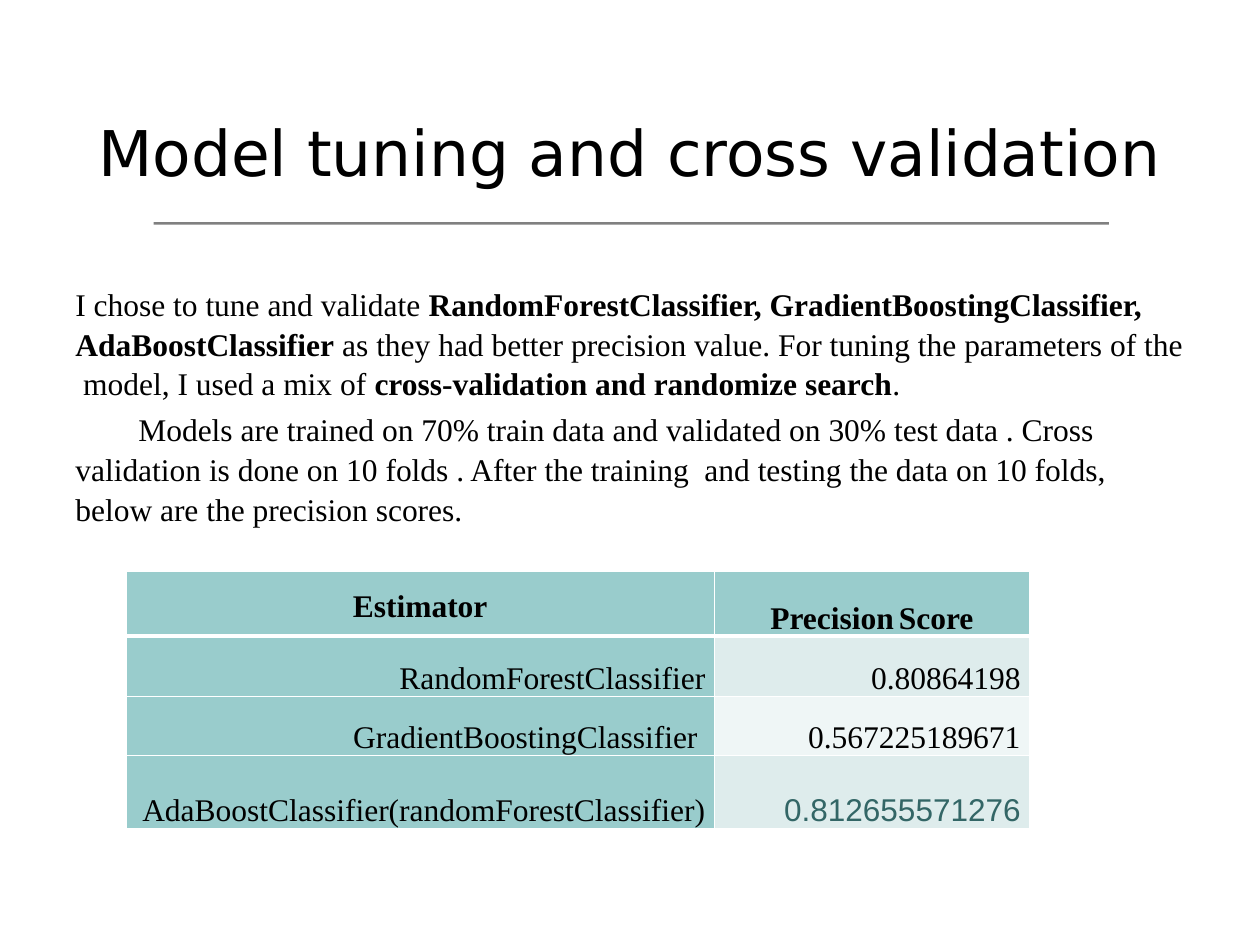
from dataclasses import dataclass

from lxml import etree
from pptx import Presentation
from pptx import util as u
from pptx.dml.color import RGBColor
from pptx.enum import shapes, text
from pptx.oxml.ns import qn

WIDTH, HEIGHT = u.Inches(10), u.Inches(7.5)
SERIF = "Times New Roman"
BLACK, WHITE, TEAL, PALE, FAINT = "000000", "FFFFFF", "99CCCC", "DEECEC", "EFF6F6"
MIDDLE, BOTTOM = text.MSO_ANCHOR.MIDDLE, text.MSO_ANCHOR.BOTTOM
CENTER, RIGHT = text.PP_ALIGN.CENTER, text.PP_ALIGN.RIGHT


@dataclass(frozen=True)
class Piece:
    words: str
    bold: bool = False
    size: float = 18
    font: str = SERIF
    color: str = BLACK


@dataclass(frozen=True)
class Entry:
    pieces: tuple[Piece, ...]
    fill: str
    align: int = RIGHT
    anchor: int = BOTTOM
    rule_below: float = 1


@dataclass(frozen=True)
class Area:
    left: float
    top: float
    width: float
    height: float

    def lengths(self) -> tuple[int, ...]:
        return (int(WIDTH * self.left), int(HEIGHT * self.top),
                int(WIDTH * self.width), int(HEIGHT * self.height))


def rgb(color: str) -> RGBColor:
    return RGBColor.from_string(color)


def write(paragraph, pieces: tuple[Piece, ...]) -> None:
    for piece in pieces:
        run = paragraph.add_run()
        run.text = piece.words
        run.font.name = piece.font
        run.font.size = u.Pt(piece.size)
        run.font.bold = piece.bold
        run.font.color.rgb = rgb(piece.color)


def add_frame(slide, area: Area, anchor: int):
    frame = slide.shapes.add_textbox(*area.lengths()).text_frame
    frame.word_wrap = True
    frame.vertical_anchor = anchor
    return frame


def add_border(cell, side: str, points: float) -> None:
    line = etree.SubElement(cell._tc.get_or_add_tcPr(), qn(f"a:{side}"), w=str(u.Pt(points)))
    solid = etree.SubElement(line, qn("a:solidFill"))
    etree.SubElement(solid, qn("a:srgbClr"), val=WHITE)


def fill_cell(cell, entry: Entry, rule_above: float) -> None:
    cell.margin_left = cell.margin_right = u.Inches(0.07)
    cell.margin_top = cell.margin_bottom = 0
    cell.vertical_anchor = entry.anchor
    paragraph = cell.text_frame.paragraphs[0]
    paragraph.alignment = entry.align
    paragraph.line_spacing = 1.15
    write(paragraph, entry.pieces)
    rules = {"lnL": 1, "lnR": 1, "lnT": rule_above, "lnB": entry.rule_below}
    for side, points in rules.items():
        add_border(cell, side, points)
    cell.fill.solid()
    cell.fill.fore_color.rgb = rgb(entry.fill)


def add_scores(slide, area: Area, columns: list[float], rows: list[float],
               entries: list[tuple[Entry, ...]]) -> None:
    scores = slide.shapes.add_table(len(rows), len(columns), *area.lengths()).table
    for column, width in zip(scores.columns, columns):
        column.width = u.Inches(width)
    for row, height in zip(scores.rows, rows):
        row.height = u.Inches(height)
    for r, line in enumerate(entries):
        for c, entry in enumerate(line):
            rule_above = entries[r - 1][c].rule_below if r else 1
            fill_cell(scores.cell(r, c), entry, rule_above)


def score_row(estimator: str, score: Piece, fill: str) -> tuple[Entry, Entry]:
    return Entry((Piece(estimator),), TEAL), Entry((score,), fill)


EXPLANATION = [
    (
        Piece("I chose to tune and validate "),
        Piece("RandomForestClassifier, GradientBoostingClassifier,  AdaBoostClassifier", True),
        Piece(" as they had better precision value. For tuning the parameters "
              "of the  model, I used a mix of "),
        Piece("cross-validation and randomize search", True),
        Piece("."),
    ),
    (
        Piece("\tModels are trained on 70% train data and validated on 30% test data . "
              "Cross validation is done on 10 folds . After the training  and testing "
              "the data on 10 folds, below are the precision scores."),
    ),
]

SCORES = [
    (
        Entry((Piece("Estimator", True),), TEAL, CENTER, MIDDLE, 3),
        Entry((Piece("Precision", True), Piece(" ", True, 11, color="5F5F5F"),
               Piece("Score", True)), TEAL, CENTER, BOTTOM, 3),
    ),
    score_row("RandomForestClassifier", Piece("0.80864198"), PALE),
    score_row("GradientBoostingClassifier ", Piece("0.567225189671"), FAINT),
    score_row("AdaBoostClassifier(randomForestClassifier)",
              Piece("0.812655571276", font="Arial", color="336666"), PALE),
]


def main() -> None:
    deck = Presentation()
    deck.slide_width, deck.slide_height = WIDTH, HEIGHT
    slide = deck.slides.add_slide(deck.slide_layouts[6])

    divider = slide.shapes.add_shape(shapes.MSO_SHAPE.RECTANGLE,
                                     *Area(0.122, 0.235, 0.758, 0.0027).lengths())
    divider.shadow.inherit = False
    divider.fill.solid()
    divider.fill.fore_color.rgb = rgb("808080")
    divider.line.fill.background()

    heading = add_frame(slide, Area(0, 0.077, 1, 0.167), MIDDLE).paragraphs[0]
    heading.alignment = CENTER
    write(heading, (Piece("Model tuning and cross validation", size=36, font="DejaVu Sans"),))

    explanation = add_frame(slide, Area(0.05, 0.293, 0.9, 0.27), text.MSO_ANCHOR.TOP)
    for i, pieces in enumerate(EXPLANATION):
        paragraph = explanation.add_paragraph() if i else explanation.paragraphs[0]
        paragraph.line_spacing = 1.05
        paragraph.space_before = u.Pt(3.6 if i else 0)
        write(paragraph, pieces)

    add_scores(slide, Area(0.1, 0.605, 0.717, 0.272), [4.67, 2.5],
               [0.51, 0.48, 0.47, 0.58], SCORES)
    deck.save("out.pptx")


if __name__ == "__main__":
    main()
